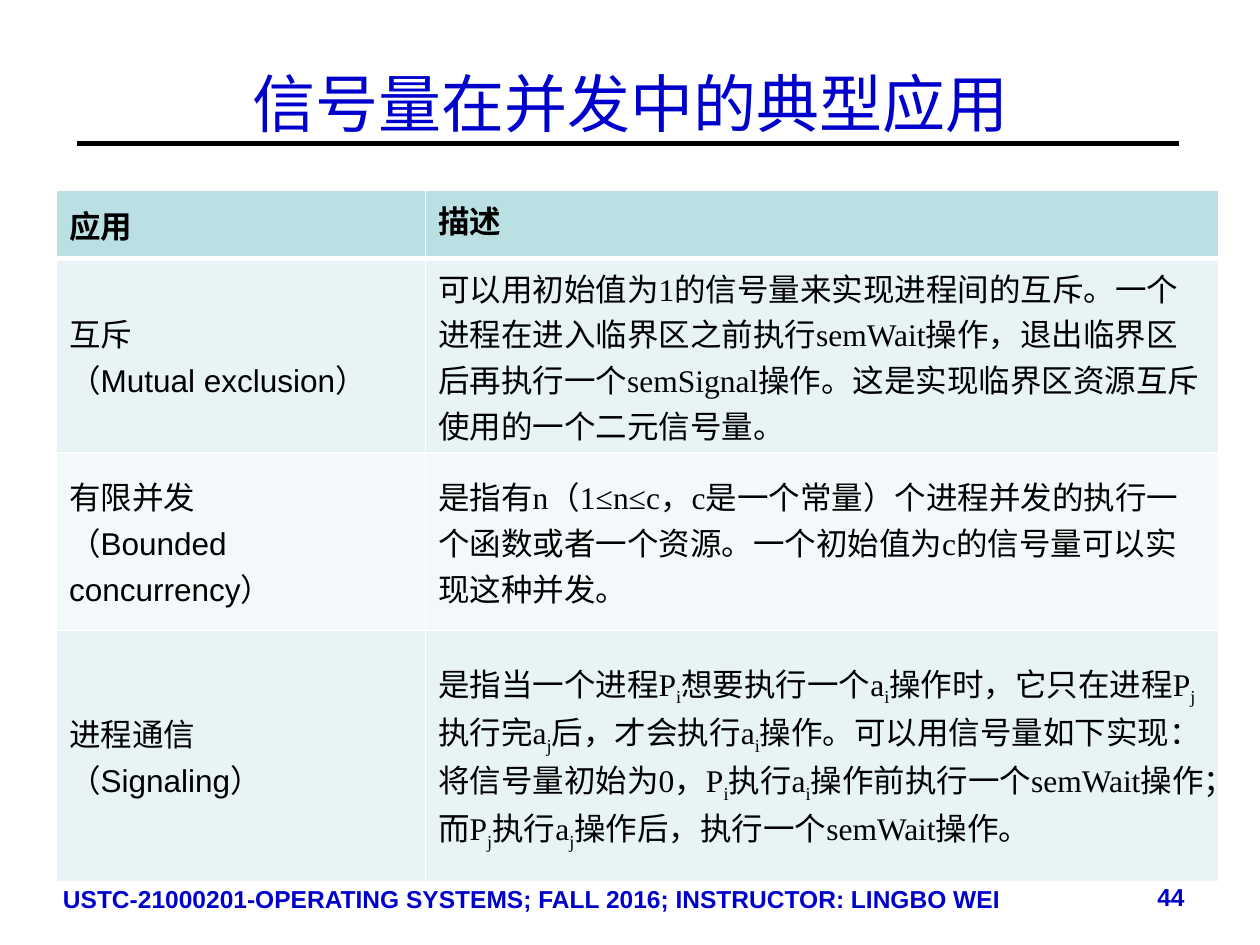
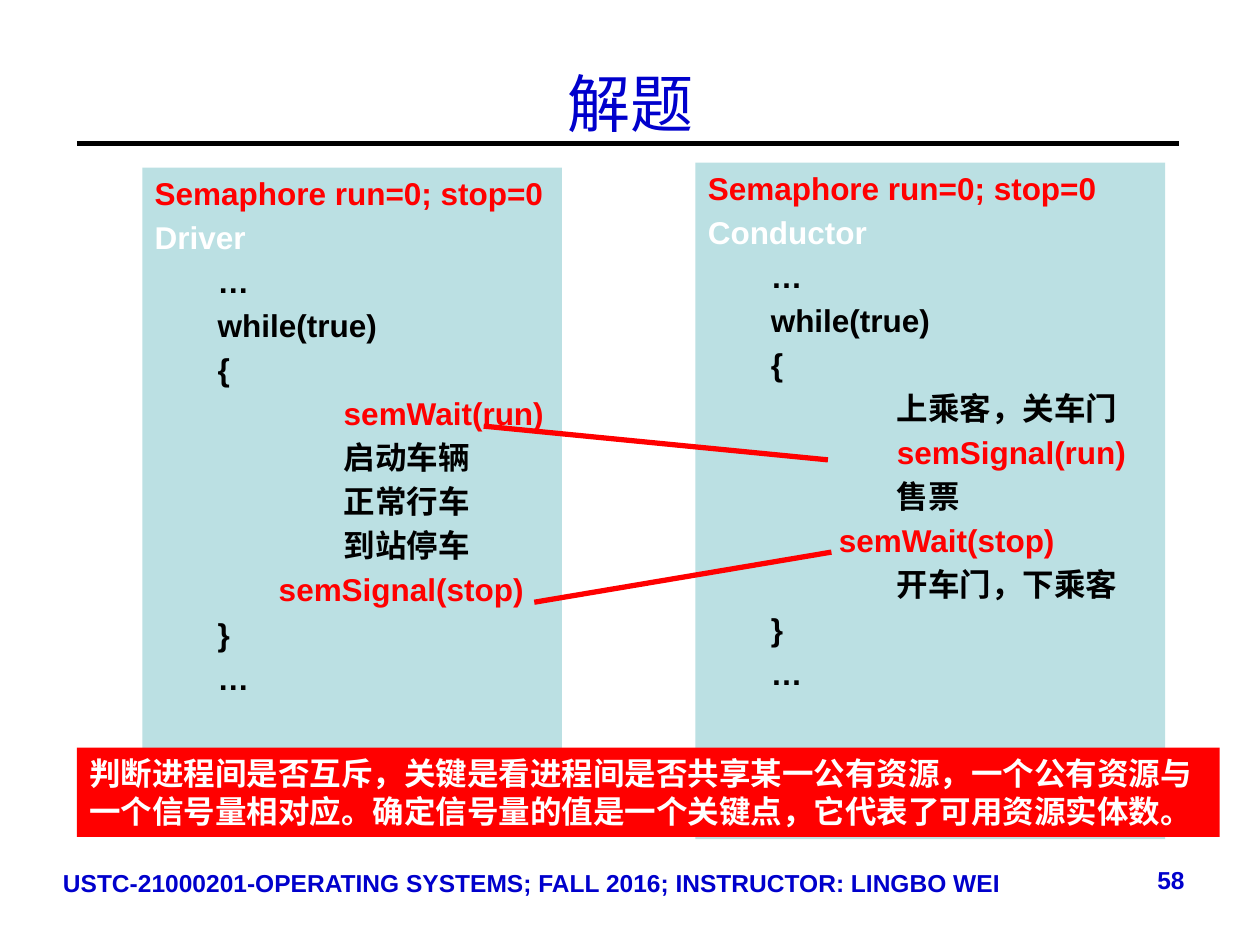
from dataclasses import dataclass

from lxml import etree
from pptx import Presentation
from pptx import util as u
from pptx.dml.color import RGBColor
from pptx.enum import shapes, text
from pptx.oxml import ns


@dataclass(frozen=True)
class Theme:
    blue: str = "0000CC"
    red: str = "FF0000"
    teal: str = "BBE0E3"
    odd_row: str = "E7F3F4"
    even_row: str = "F3F9FA"
    black: str = "000000"
    white: str = "FFFFFF"
    sans: str = "Arial"
    serif: str = "Times New Roman"
    chinese: str = "Noto Sans CJK SC"
    title_size: int = 36
    body_size: int = 18
    footer_size: int = 14


THEME = Theme()
FOOTER = "USTC-21000201-OPERATING SYSTEMS; FALL 2016; INSTRUCTOR: LINGBO WEI"
COLUMN_WIDTHS = (7.44, 15.98)
ROW_HEIGHTS = (1.37, 3.92, 3.58, 5.06)
STEP, BODY = 1.27, 3.81

USES = [
    ("互斥\n（Mutual exclusion）",
     "可以用初始值为1的信号量来实现进程间的互斥。一个进程在进入临界区之前执行semWait操作，"
     "退出临界区后再执行一个semSignal操作。这是实现临界区资源互斥使用的一个二元信号量。"),
    ("有限并发\n（Bounded concurrency）",
     "是指有n（1≤n≤c，c是一个常量）个进程并发的执行一个函数或者一个资源。"
     "一个初始值为c的信号量可以实现这种并发。"),
    ("进程通信\n（Signaling）",
     "是指当一个进程P_i想要执行一个a_i操作时，它只在进程P_j执行完a_j后，才会执行a_i操作。"
     "可以用信号量如下实现：将信号量初始为0，P_i执行a_i操作前执行一个semWait操作；"
     "而P_j执行a_j操作后，执行一个semWait操作。"),
]

DRIVER_LOOP = [
    ("semWait(run)", BODY, THEME.red),
    ("启动车辆", BODY, THEME.black),
    ("正常行车", BODY, THEME.black),
    ("到站停车", BODY, THEME.black),
    ("semSignal(stop)", 2.5, THEME.red),
]
CONDUCTOR_LOOP = [
    ("上乘客，关车门", BODY, THEME.black),
    ("semSignal(run)", BODY, THEME.red),
    ("售票", BODY, THEME.black),
    ("semWait(stop)", 2.64, THEME.red),
    ("开车门，下乘客", BODY, THEME.black),
]
SUMMARY = ("判断进程间是否互斥，关键是看进程间是否共享某一公有资源，一个公有资源与一个信号量相对应。"
           "确定信号量的值是一个关键点，它代表了可用资源实体数。")


def rgb(colour):
    return RGBColor.from_string(colour)


def box(*lengths):
    return [u.Cm(length) for length in lengths]


def add_run(paragraph, words, size, font, colour, bold, subscript=False):
    run = paragraph.add_run()
    run.text = words
    run.font.size = u.Pt(size)
    run.font.name = font
    run.font.bold = bold
    run.font.color.rgb = rgb(colour)
    properties = run.font._element
    etree.SubElement(properties, ns.qn("a:ea"), typeface=THEME.chinese)
    if subscript:
        properties.set("baseline", "-25000")


def write(paragraph, words, size=THEME.body_size, font=THEME.sans, colour=THEME.black,
          bold=False, align=text.PP_ALIGN.LEFT, line=None, before=0, indent=0):
    paragraph.alignment = align
    paragraph.space_before = u.Pt(before)
    if line:
        paragraph.line_spacing = u.Pt(line)
    if indent:
        paragraph._p.get_or_add_pPr().set("marL", str(u.Cm(indent)))
    plain, *marked = words.split("_")
    add_run(paragraph, plain, size, font, colour, bold)
    for part in marked:
        add_run(paragraph, part[0], size, font, colour, bold, subscript=True)
        add_run(paragraph, part[1:], size, font, colour, bold)


def paragraphs(frame, count):
    frame.word_wrap = True
    return [frame.paragraphs[0]] + [frame.add_paragraph() for _ in range(count - 1)]


def add_line(slide, start, end, colour):
    line = slide.shapes.add_connector(shapes.MSO_CONNECTOR.STRAIGHT, *box(*start, *end))
    line.line.color.rgb = rgb(colour)
    line.line.width = u.Pt(3)
    etree.SubElement(line._element.spPr, ns.qn("a:effectLst"))


def add_label(slide, place, words, **look):
    frame = slide.shapes.add_textbox(*box(*place)).text_frame
    frame.word_wrap = True
    write(frame.paragraphs[0], words, size=THEME.footer_size, colour=THEME.blue,
          bold=True, **look)


def add_block(slide, place, fill):
    block = slide.shapes.add_shape(shapes.MSO_SHAPE.RECTANGLE, *box(*place))
    block.shadow.inherit = False
    block.fill.solid()
    block.fill.fore_color.rgb = rgb(fill)
    block.line.fill.background()
    block.text_frame.vertical_anchor = text.MSO_ANCHOR.TOP
    return block.text_frame


def add_page(deck, heading, number, footer_top):
    slide = deck.slides.add_slide(deck.slide_layouts[5])
    add_line(slide, (1.55, 2.9), (23.77, 2.9), THEME.black)
    title = slide.shapes.title
    title.left, title.top, title.width, title.height = box(1.27, 0.48, 22.86, 3.18)
    title.text_frame.vertical_anchor = text.MSO_ANCHOR.MIDDLE
    write(title.text_frame.paragraphs[0], heading, size=THEME.title_size, font=THEME.serif,
          colour=THEME.blue, align=text.PP_ALIGN.CENTER)
    add_label(slide, (1.02, footer_top, 20.02, 1.32), FOOTER)
    add_label(slide, (21.56, footer_top - 0.05, 2.57, 1.32), number,
              align=text.PP_ALIGN.RIGHT)
    return slide


def add_borders(cell, top, bottom):
    properties = cell._tc.get_or_add_tcPr()
    widths = {"lnL": 1, "lnR": 1, "lnT": top, "lnB": bottom}
    for position, (side, width) in enumerate(widths.items()):
        border = etree.Element(ns.qn(f"a:{side}"), w=str(u.Pt(width)))
        fill = etree.SubElement(border, ns.qn("a:solidFill"))
        etree.SubElement(fill, ns.qn("a:srgbClr"), val=THEME.white)
        properties.insert(position, border)


def fill_cell(cell, words, fill, anchor=text.MSO_ANCHOR.MIDDLE, top=1, bottom=1, **look):
    cell.fill.solid()
    cell.fill.fore_color.rgb = rgb(fill)
    cell.vertical_anchor = anchor
    add_borders(cell, top, bottom)
    lines = words.split("\n")
    for paragraph, line in zip(paragraphs(cell.text_frame, len(lines)), lines):
        write(paragraph, line, **look)


def add_uses_table(slide):
    place = box(1.14, 3.84, sum(COLUMN_WIDTHS), sum(ROW_HEIGHTS))
    table = slide.shapes.add_table(len(ROW_HEIGHTS), len(COLUMN_WIDTHS), *place).table
    table.horz_banding = False
    for column, width in zip(table.columns, COLUMN_WIDTHS):
        column.width = u.Cm(width)
    for row, height in zip(table.rows, ROW_HEIGHTS):
        row.height = u.Cm(height)
    fill_cell(table.cell(0, 0), "应用", THEME.teal, bottom=3, bold=True)
    fill_cell(table.cell(0, 1), "描述", THEME.teal, anchor=text.MSO_ANCHOR.TOP,
              bottom=3, bold=True)
    for row, (use, description) in enumerate(USES, 1):
        fill = THEME.odd_row if row % 2 else THEME.even_row
        top = 3 if row == 1 else 1
        fill_cell(table.cell(row, 0), use, fill, top=top)
        fill_cell(table.cell(row, 1), description, fill, top=top, font=THEME.serif)


def add_process(slide, place, role, loop):
    opening = [("…", STEP, THEME.black), ("while(true)", STEP, THEME.black),
               ("{", STEP, THEME.black)]
    closing = [("}", STEP, THEME.black), ("…", STEP, THEME.black)]
    code = [("Semaphore run=0; stop=0", 0, THEME.red), (role, 0, THEME.white),
            *opening, *loop, *closing]
    frame = add_block(slide, place, THEME.teal)
    frame.margin_top = u.Cm(0.14)
    for index, (paragraph, (words, indent, colour)) in enumerate(
            zip(paragraphs(frame, len(code)), code)):
        write(paragraph, words, colour=colour, bold=True, indent=indent,
              line=21, before=4.2 if index else 0)


def add_summary(slide):
    frame = add_block(slide, (1.55, 15.07, 23.04, 1.8), THEME.red)
    frame.word_wrap = True
    write(frame.paragraphs[0], SUMMARY, font=THEME.chinese, colour=THEME.white,
          bold=True, line=21.7)


def main():
    deck = Presentation()
    deck.slide_width, deck.slide_height = box(25.4, 19.05)

    uses = add_page(deck, "信号量在并发中的典型应用", "44", 17.7)
    add_uses_table(uses)

    solution = add_page(deck, "解题", "58", 17.37)
    add_process(solution, (2.87, 3.38, 8.46, 13.46), "Driver", DRIVER_LOOP)
    add_process(solution, (14.02, 3.28, 9.47, 13.64), "Conductor", CONDUCTOR_LOOP)
    add_summary(solution)
    add_line(solution, (9.75, 8.59), (16.69, 9.27), THEME.red)
    add_line(solution, (10.77, 12.14), (16.76, 11.13), THEME.red)

    deck.save("out.pptx")


if __name__ == "__main__":
    main()
